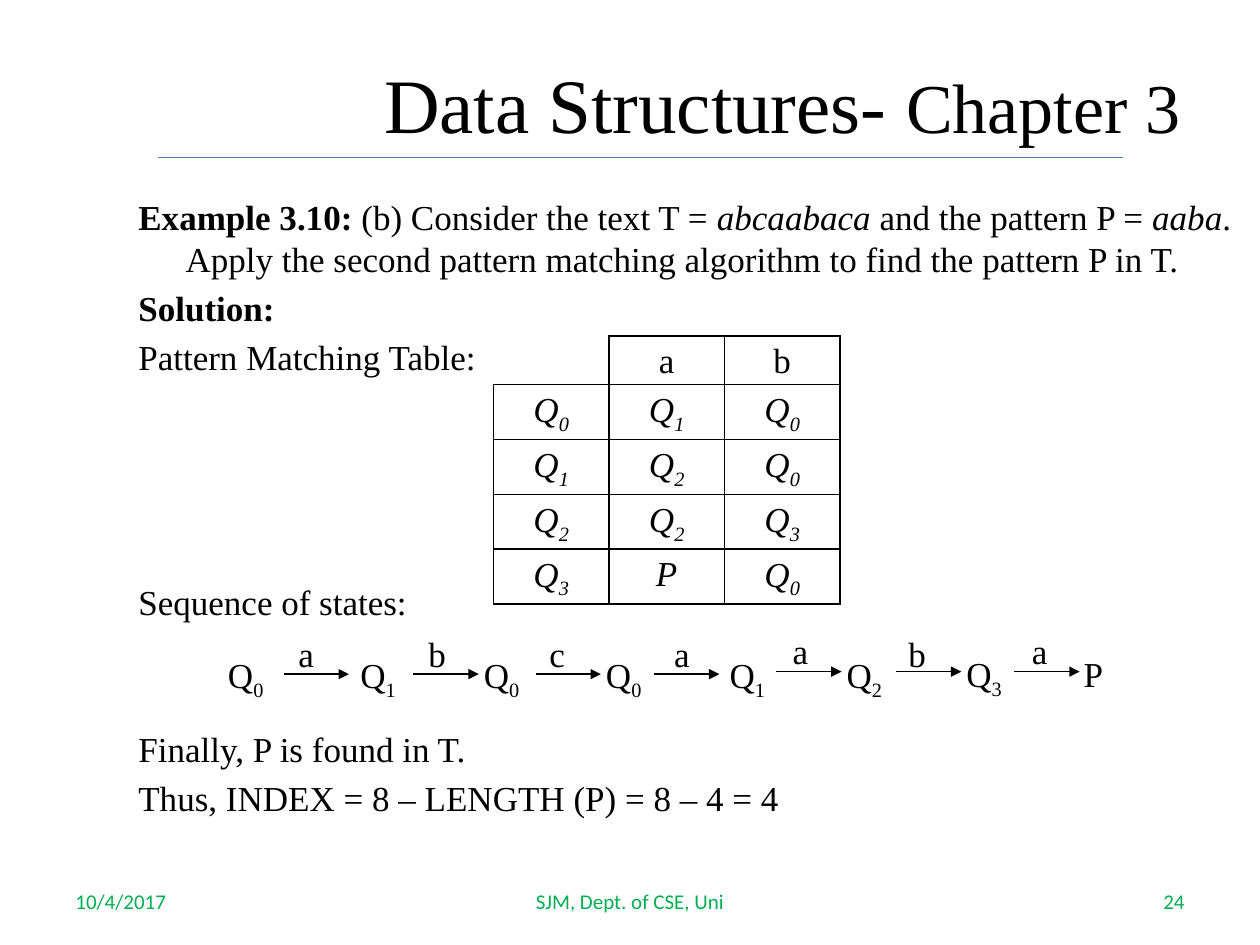
from typing import NamedTuple

from lxml.etree import SubElement
from pptx import Presentation
from pptx.dml.color import RGBColor
from pptx.enum.shapes import MSO_CONNECTOR
from pptx.enum.text import MSO_ANCHOR, PP_ALIGN
from pptx.oxml.ns import qn
from pptx.util import Pt

BLACK = RGBColor(0x00, 0x00, 0x00)
GREEN = RGBColor(0x00, 0xB0, 0x50)
BLUE = RGBColor(0x4B, 0x7E, 0xBC)
SERIF, SANS = "Times New Roman", "Calibri"


class Run(NamedTuple):
    text: str
    size: float = 20
    bold: bool = False
    italic: bool = False
    sub: bool = False
    font: str = SERIF
    color: RGBColor = BLACK


class Para(NamedTuple):
    runs: list[Run]
    before: float = 4


class Label(NamedTuple):
    text: str
    x: float
    y: float


class Arrow(NamedTuple):
    x: float
    y: float


def add_runs(p, runs: list[Run]) -> None:
    for run in runs:
        r = p.add_run()
        r.text = run.text
        f = r.font
        f.name, f.size = run.font, Pt(run.size)
        f.bold, f.italic = run.bold, run.italic
        f.color.rgb = run.color
        if run.sub:
            r._r.get_or_add_rPr().set("baseline", "-25000")


def state_runs(name: str, italic: bool = False) -> list[Run]:
    """Split a name such as Q0 into a letter and a subscript digit."""
    runs = [Run(name[0], italic=italic)]
    if name[1:]:
        runs.append(Run(name[1:], italic=italic, sub=True))
    return runs


def add_box(slide, x: float, y: float, w: float, h: float,
            anchor=MSO_ANCHOR.TOP, inset: bool = True):
    tf = slide.shapes.add_textbox(Pt(x), Pt(y), Pt(w), Pt(h)).text_frame
    tf.word_wrap = True
    tf.vertical_anchor = anchor
    if not inset:
        tf.margin_left = tf.margin_right = tf.margin_top = tf.margin_bottom = 0
    return tf


def add_line(slide, x1: float, x2: float, y: float, color: RGBColor,
             arrow: bool = False) -> None:
    sp = slide.shapes.add_connector(MSO_CONNECTOR.STRAIGHT, Pt(x1), Pt(y), Pt(x2), Pt(y))
    sp.line.color.rgb = color
    sp.line.width = Pt(0.75)
    if arrow:
        SubElement(sp.line._get_or_add_ln(), qn("a:tailEnd"), type="triangle")
    SubElement(sp._element.spPr, qn("a:effectLst"))


def set_borders(cell, visible: str) -> None:
    tc_pr = cell._tc.get_or_add_tcPr()
    for side in "LRTB":
        ln = SubElement(tc_pr, qn(f"a:ln{side}"), w=str(Pt(1)))
        if side in visible:
            fill = SubElement(ln, qn("a:solidFill"))
            SubElement(fill, qn("a:srgbClr"), val=str(BLACK))
        else:
            SubElement(ln, qn("a:noFill"))


def add_state_table(slide, rows: list[list[str]]) -> None:
    col_w, row_h = 66, 27.6
    n_rows, n_cols = len(rows), len(rows[0])
    table = slide.shapes.add_table(n_rows, n_cols, Pt(282), Pt(192),
                                   Pt(col_w * n_cols), Pt(row_h * n_rows)).table
    table.first_row = table.horz_banding = False
    for col in table.columns:
        col.width = Pt(col_w)
    for i, names in enumerate(rows):
        table.rows[i].height = Pt(row_h)
        for j, name in enumerate(names):
            cell = table.cell(i, j)
            cell.margin_left = cell.margin_right = Pt(5)
            cell.margin_top = cell.margin_bottom = 0
            set_borders(cell, "LRTB" if name else "RB")
            cell.fill.background()
            p = cell.text_frame.paragraphs[0]
            p.alignment = PP_ALIGN.CENTER
            p.line_spacing = 1.15
            if name:
                add_runs(p, state_runs(name, italic=i > 0))


STEP = 28  # distance between body lines, spacing included
BODY = [
    Para([Run("Example 3.10:", bold=True),
          Run(" (b) Consider the text T = "),
          Run("abcaabaca", italic=True),
          Run(" and the pattern P = "),
          Run("aaba", italic=True),
          Run(". Apply the second pattern matching algorithm to find the pattern P in T.")]),
    Para([Run("Solution:", bold=True)]),
    Para([Run("Pattern Matching Table:")]),
    Para([Run("Sequence of states:")], before=4 + 4 * STEP),
    Para([Run("Finally, P is found in T.")], before=4 + 2 * STEP),
    Para([Run("Thus, INDEX = 8 – LENGTH (P) = 8 – 4 = 4")]),
]

TRANSITIONS = [
    ["", "a", "b"],
    ["Q0", "Q1", "Q0"],
    ["Q1", "Q2", "Q0"],
    ["Q2", "Q2", "Q3"],
    ["Q3", "P", "Q0"],
]

STATES = [
    Label("Q0", 130.3, 373.7), Label("Q1", 205.9, 373.7), Label("Q0", 276.5, 373.7),
    Label("Q0", 346.3, 373.7), Label("Q1", 416.9, 373.7), Label("Q2", 483.8, 373.7),
    Label("Q3", 552.2, 373), Label("P", 619.2, 373),
]
INPUTS = [
    Label("a", 170.6, 361.4), Label("b", 244.8, 361.4), Label("c", 313.9, 361.4),
    Label("a", 385.2, 361.4), Label("a", 452.9, 360), Label("b", 519.1, 361.4),
    Label("a", 589.7, 360),
]
ARROW_LENGTH = 37.4
ARROWS = [
    Arrow(162, 385.2), Arrow(236.2, 385.2), Arrow(306, 385.2), Arrow(373.7, 385.2),
    Arrow(443.5, 383.8), Arrow(511.9, 383.8), Arrow(579.6, 383.8),
]


def main() -> None:
    prs = Presentation()
    prs.slide_width, prs.slide_height = Pt(720), Pt(540)
    slide = prs.slides.add_slide(prs.slide_layouts[6])

    # Footer
    for text, x, w, align in [
        ("10/4/2017", 36, 168, PP_ALIGN.LEFT),
        ("SJM, Dept. of CSE, Uni", 246, 228, PP_ALIGN.CENTER),
        ("24", 516, 168, PP_ALIGN.RIGHT),
    ]:
        p = add_box(slide, x, 500.5, w, 28.75, MSO_ANCHOR.MIDDLE).paragraphs[0]
        p.alignment = align
        add_runs(p, [Run(text, size=12, font=SANS, color=GREEN)])

    # Title and rule
    p = add_box(slide, 174, 27.4, 546, 62.6, MSO_ANCHOR.MIDDLE).paragraphs[0]
    p.alignment = PP_ALIGN.CENTER
    add_runs(p, [Run("Data Structures- ", size=44), Run("Chapter 3", size=40)])
    add_line(slide, 90, 642, 90, BLUE)

    # Body with hanging indents
    tf = add_box(slide, 72, 108, 648, 396)
    for i, para in enumerate(BODY):
        p = tf.add_paragraph() if i else tf.paragraphs[0]
        p.space_before = Pt(para.before)
        p_pr = p._p.get_or_add_pPr()
        p_pr.set("marL", str(Pt(27)))
        p_pr.set("indent", str(-Pt(27)))
        add_runs(p, para.runs)

    # Transition table
    add_state_table(slide, TRANSITIONS)

    # Sequence of states
    for label in STATES + INPUTS:
        p = add_box(slide, label.x, label.y, 28.8, 33.8, inset=False).paragraphs[0]
        p.space_after = Pt(10)
        add_runs(p, state_runs(label.text))
    for arrow in ARROWS:
        add_line(slide, arrow.x, arrow.x + ARROW_LENGTH, arrow.y, BLACK, arrow=True)

    prs.save("out.pptx")


if __name__ == "__main__":
    main()
